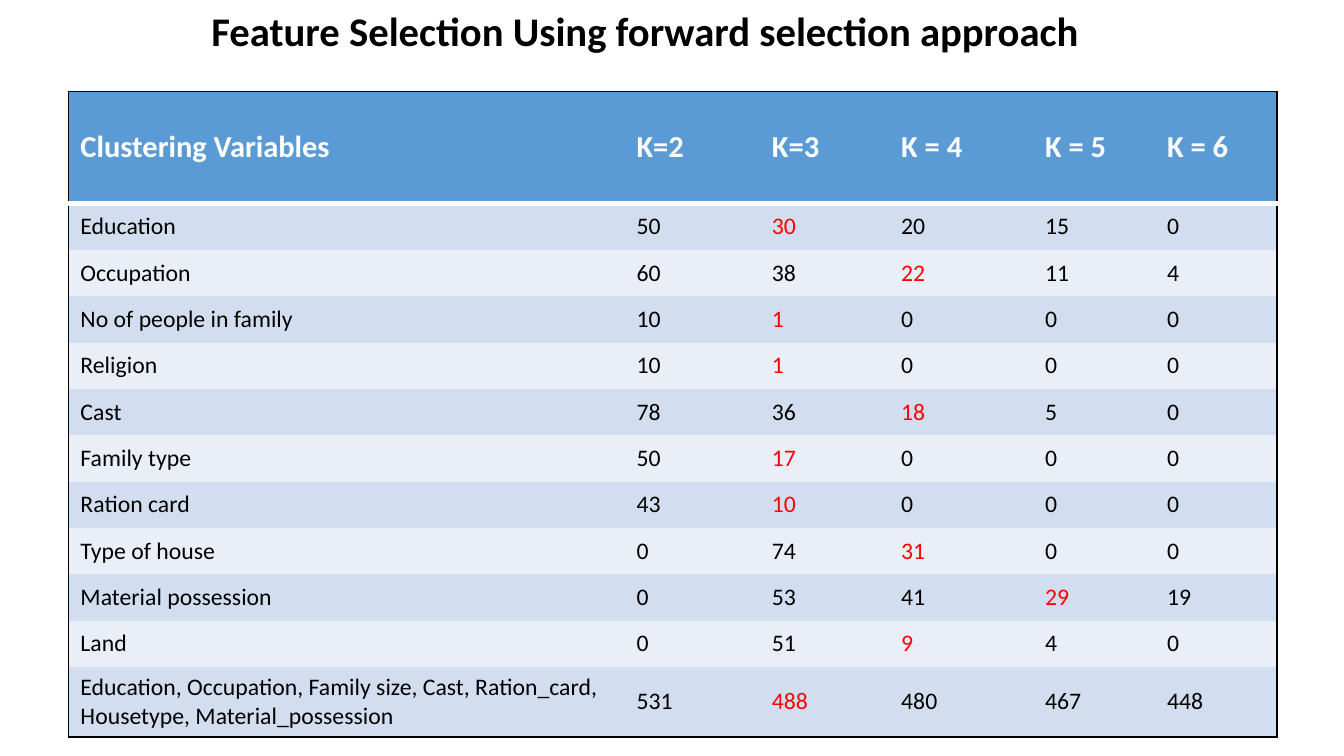
import pptx
import pptx.util
import pptx.dml.color
import pptx.enum.text
import pptx.oxml.ns
import lxml.etree

RGB = pptx.dml.color.RGBColor
BLACK = RGB(0x00, 0x00, 0x00)
WHITE = RGB(0xFF, 0xFF, 0xFF)
RED = RGB(0xFF, 0x00, 0x00)
HEADER_BLUE = RGB(0x5B, 0x9B, 0xD5)
BANDS = (RGB(0xD2, 0xDE, 0xEF), RGB(0xEA, 0xEF, 0xF7))

FONT = "Calibri"
NO_GRID_STYLE = "{2D5ABB26-0587-4C30-8999-92F81FD0307C}"
WIDTH, HEIGHT = pptx.util.Inches(11.02), pptx.util.Inches(6.2)
COLUMNS = (4.56, 1.11, 1.06, 1.18, 1, 1)
ROWS = (0.92,) + (0.38,) * 10 + (0.57,)

HEADER = ("Clustering Variables", "K=2", "K=3", "K = 4", "K = 5", "K = 6")
BEST_AND_SCORES = (
    (2, "Education", 50, 30, 20, 15, 0),
    (3, "Occupation", 60, 38, 22, 11, 4),
    (2, "No of people in family", 10, 1, 0, 0, 0),
    (2, "Religion", 10, 1, 0, 0, 0),
    (3, "Cast", 78, 36, 18, 5, 0),
    (2, "Family type", 50, 17, 0, 0, 0),
    (2, "Ration card", 43, 10, 0, 0, 0),
    (3, "Type of house", 0, 74, 31, 0, 0),
    (4, "Material possession", 0, 53, 41, 29, 19),
    (3, "Land", 0, 51, 9, 4, 0),
    (2, "Education, Occupation, Family size, Cast, Ration_card, "
        "Housetype, Material_possession", 531, 488, 480, 467, 448),
)


def set_font(p, size, color, bold):
    p.font.name = FONT
    p.font.size = pptx.util.Pt(size)
    p.font.bold = bold
    p.font.color.rgb = color


def add_border(cell, side, color, points):
    qn = pptx.oxml.ns.qn
    ln = lxml.etree.SubElement(cell._tc.get_or_add_tcPr(), qn("a:ln" + side),
                               w=str(pptx.util.Pt(points)))
    fill = lxml.etree.SubElement(ln, qn("a:solidFill"))
    lxml.etree.SubElement(fill, qn("a:srgbClr"), val=str(color))


def add_title(s, box, text):
    sp = s.shapes.title
    sp.left, sp.top, sp.width, sp.height = box
    tf = sp.text_frame
    tf.text = text
    tf.word_wrap = True
    tf.auto_size = pptx.enum.text.MSO_AUTO_SIZE.NONE
    tf.vertical_anchor = pptx.enum.text.MSO_ANCHOR.TOP
    p = tf.paragraphs[0]
    p.alignment = pptx.enum.text.PP_ALIGN.CENTER
    set_font(p, 24, BLACK, True)


def format_cell(cell, row, col, text, best):
    is_header = row == 0
    if col == 0:
        add_border(cell, "L", BLACK, 1)
    if col == len(COLUMNS) - 1:
        add_border(cell, "R", BLACK, 1)
    if is_header:
        add_border(cell, "T", BLACK, 1)
        add_border(cell, "B", WHITE, 3)
    if row == len(ROWS) - 1:
        add_border(cell, "B", BLACK, 1)
    cell.fill.solid()
    cell.fill.fore_color.rgb = HEADER_BLUE if is_header else BANDS[(row - 1) % 2]
    cell.vertical_anchor = pptx.enum.text.MSO_ANCHOR.MIDDLE
    cell.text = str(text)
    p = cell.text_frame.paragraphs[0]
    if is_header:
        set_font(p, 18, WHITE, True)
    else:
        set_font(p, 14, RED if col == best else BLACK, False)


def add_scores(s, box):
    left, top, width, height = box
    frame = s.shapes.add_table(len(ROWS), len(COLUMNS), left, top, width, height)
    table = frame.table
    table._tbl.tblPr.find(pptx.oxml.ns.qn("a:tableStyleId")).text = NO_GRID_STYLE
    for column, share in zip(table.columns, COLUMNS):
        column.width = int(width * share / sum(COLUMNS))
    for table_row, share in zip(table.rows, ROWS):
        table_row.height = int(height * share / sum(ROWS))
    for row, (best, *texts) in enumerate(((None, *HEADER), *BEST_AND_SCORES)):
        for col, text in enumerate(texts):
            format_cell(table.cell(row, col), row, col, text, best)


def main():
    prs = pptx.Presentation()
    prs.slide_width, prs.slide_height = WIDTH, HEIGHT
    s = prs.slides.add_slide(prs.slide_layouts[5])
    inches = pptx.util.Inches
    add_scores(s, (inches(0.56), inches(0.75),
                   inches(sum(COLUMNS)), inches(sum(ROWS))))
    add_title(s, (inches(0.6), 0, inches(9.38), inches(0.5)),
              "Feature Selection Using forward selection approach")
    prs.save("out.pptx")


if __name__ == "__main__":
    main()
